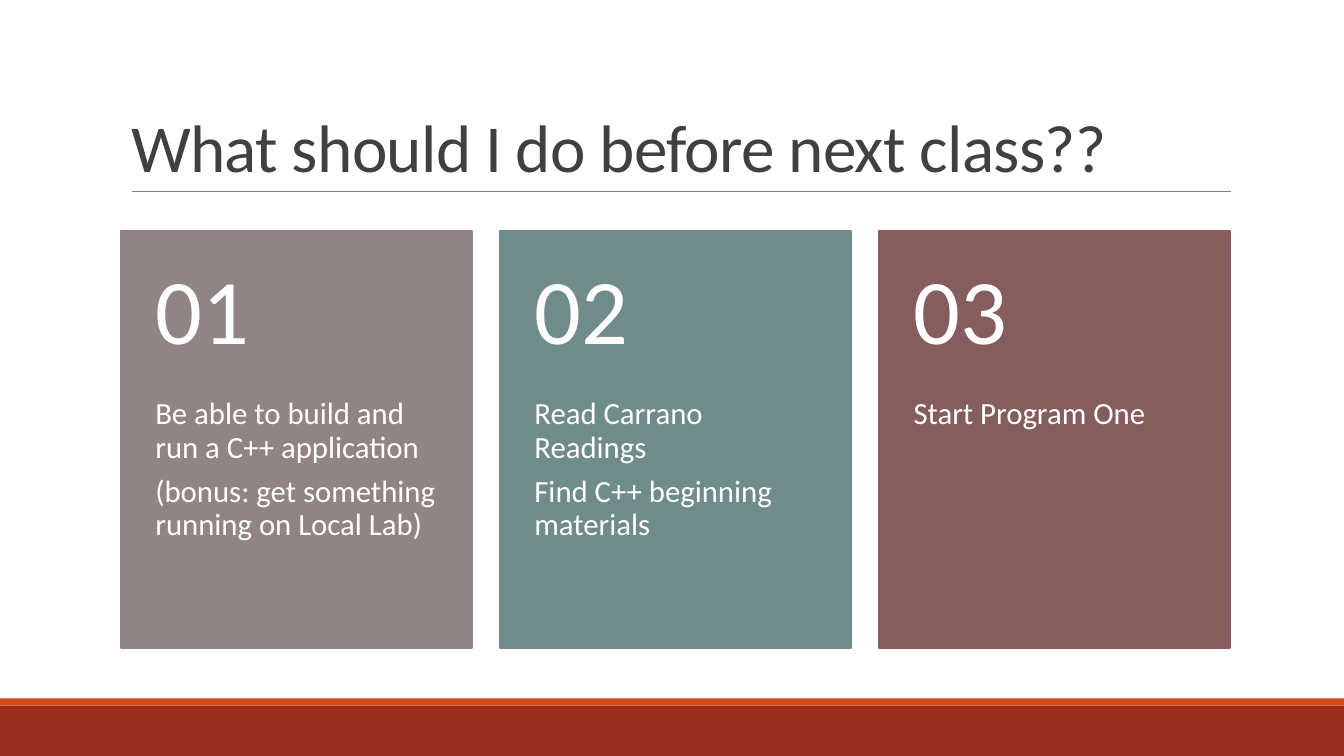
"""Build a slide with three numbered cards of tasks to do before the next class."""
import dataclasses
import typing

import pptx
import pptx.dml.color
import pptx.enum.shapes
import pptx.enum.text
import pptx.oxml
import pptx.oxml.ns
import pptx.util

Inch = pptx.util.Inches
Point = pptx.util.Pt
Anchor = pptx.enum.text.MSO_ANCHOR


@dataclasses.dataclass(frozen=True)
class Theme:
    """Colours, font and type sizes of the slide."""
    font: str = "Calibri"
    ink: str = "404040"
    light: str = "FFFFFF"
    rule: str = "808080"
    band: str = "9B2D1F"
    stripe: str = "D34817"
    title: int = 48
    number: int = 66
    body: int = 22


@dataclasses.dataclass(frozen=True)
class Grid:
    """Slide size, column layout and row lines in inches."""
    width: float = 13.33
    height: float = 7.5
    left: float = 1.2
    column: float = 3.48
    gap: float = 0.28
    top: float = 2.29
    head: float = 1.66
    body: float = 2.48

    def start(self, index: int) -> float:
        """Return the left edge of a column."""
        return self.left + index * (self.column + self.gap)


class Box(typing.NamedTuple):
    """Left, top, width and height in inches."""
    left: float
    top: float
    width: float
    height: float

    def sizes(self) -> list[int]:
        """Return the four lengths as slide units."""
        return [Inch(value) for value in self]


@dataclasses.dataclass(frozen=True)
class Card:
    """Fill colour and task lines of a card."""
    fill: str
    tasks: tuple[str, ...]


THEME = Theme()
GRID = Grid()
CARDS = (
    Card("918485", ("Be able to build and run a C++ application",
                    "(bonus: get something running on Local Lab)")),
    Card("6F8C8B", ("Read Carrano Readings", "Find C++ beginning materials")),
    Card("855D5D", ("Start Program One",)),
)
BANDS = (
    (Box(0, 7, GRID.width, 0.5), THEME.band),
    (Box(0, 6.93, GRID.width, 0.07), THEME.stripe),
)


def tint(code: str) -> pptx.dml.color.RGBColor:
    """Turn a hex code into a colour."""
    return pptx.dml.color.RGBColor.from_string(code)


def apply(target: typing.Any, values: dict[str, typing.Any]) -> None:
    """Set each named format value on the target."""
    for name, value in values.items():
        setattr(target, name, value)


def panel(shapes: typing.Any, box: Box, fill: str, line: float = 0) -> None:
    """Draw a plain rectangle with an optional line of its own colour."""
    shape = shapes.add_shape(pptx.enum.shapes.MSO_SHAPE.RECTANGLE, *box.sizes())
    shape.shadow.inherit = False
    shape.fill.solid()
    shape.fill.fore_color.rgb = tint(fill)
    if line:
        shape.line.color.rgb = tint(fill)
        shape.line.width = Point(line)
    else:
        shape.line.fill.background()


def write(frame: typing.Any, lines: tuple[str, ...], size: int, color: str,
          layout: dict[str, typing.Any], spacing: dict[str, typing.Any]) -> None:
    """Fill a text frame with equally formatted paragraphs."""
    apply(frame, {"word_wrap": True, "auto_size": pptx.enum.text.MSO_AUTO_SIZE.NONE,
                  **layout})
    for index, line in enumerate(lines):
        para = frame.add_paragraph() if index else frame.paragraphs[0]
        apply(para, {"alignment": pptx.enum.text.PP_ALIGN.LEFT, **spacing})
        run = para.add_run()
        run.text = line
        apply(run.font, {"name": THEME.font, "size": Point(size)})
        run.font.color.rgb = tint(color)


def label(shapes: typing.Any, box: Box, lines: tuple[str, ...], size: int,
          anchor: typing.Any, top: float, base: float) -> None:
    """Add one text area of a card."""
    layout = {"vertical_anchor": anchor, "margin_left": Inch(0.34),
              "margin_right": Inch(0.34), "margin_top": Inch(top),
              "margin_bottom": Inch(base)}
    spacing = {"line_spacing": 0.9, "space_after": Point(0.35 * size)}
    frame = shapes.add_textbox(*box.sizes()).text_frame
    write(frame, lines, size, THEME.light, layout, spacing)


def draw(slide: typing.Any, index: int, card: Card) -> None:
    """Draw a card with its number and tasks in a column."""
    shapes = slide.shapes.add_group_shape().shapes
    left = GRID.start(index)
    panel(shapes, Box(left, GRID.top, GRID.column, GRID.head + GRID.body), card.fill, 1.25)
    label(shapes, Box(left, GRID.top + GRID.head, GRID.column, GRID.body),
          card.tasks, THEME.body, Anchor.TOP, 0, 0.36)
    label(shapes, Box(left, GRID.top, GRID.column, GRID.head),
          (f"{index + 1:02}",), THEME.number, Anchor.MIDDLE, 0.18, 0.18)


def head(slide: typing.Any, text: str) -> None:
    """Place the title and the rule below it."""
    line = slide.shapes.add_connector(
        pptx.enum.shapes.MSO_CONNECTOR.STRAIGHT,
        Inch(1.31), Inch(1.9), Inch(12.21), Inch(1.9))
    line.line.color.rgb = tint(THEME.rule)
    line.line.width = Point(0.5)
    props = line._element.spPr
    props.append(pptx.oxml.parse_xml(f"<a:effectLst {pptx.oxml.ns.nsdecls('a')}/>"))

    title = slide.shapes.title
    names = ("left", "top", "width", "height")
    apply(title, dict(zip(names, Box(GRID.left, 0.31, 11, 1.59).sizes())))
    write(title.text_frame, (text,), THEME.title, THEME.ink,
          {"vertical_anchor": Anchor.BOTTOM}, {"line_spacing": 0.85})
    run = title.text_frame.paragraphs[0].runs[0]
    run._r.get_or_add_rPr().set("spc", "-50")


def main() -> None:
    """Build and save the deck."""
    deck = pptx.Presentation()
    apply(deck, {"slide_width": Inch(GRID.width), "slide_height": Inch(GRID.height)})
    slide = deck.slides.add_slide(deck.slide_layouts[5])
    for box, fill in BANDS:
        panel(slide.shapes, box, fill)
    head(slide, "What should I do before next class??")
    for index, card in enumerate(CARDS):
        draw(slide, index, card)
    deck.save("out.pptx")


if __name__ == "__main__":
    main()
